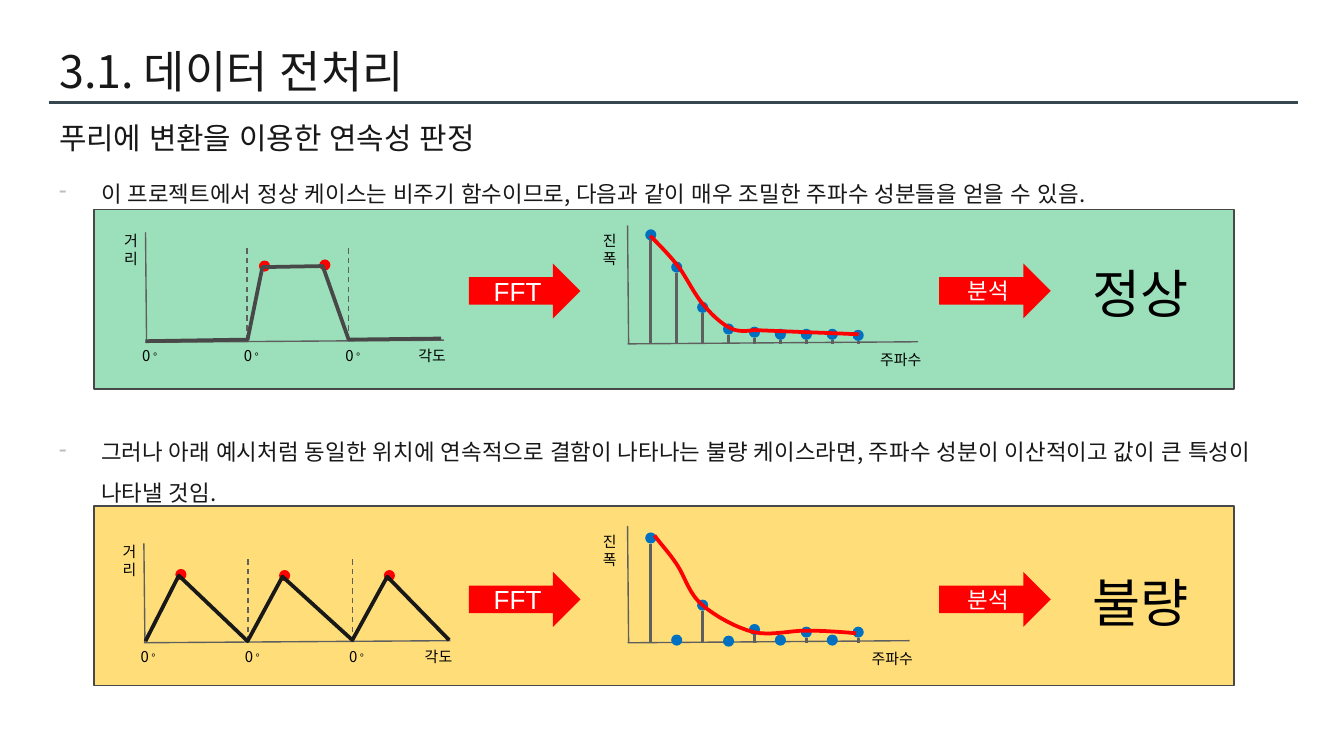
import pptx
import pptx.dml.color
import pptx.enum.dml
import pptx.enum.shapes
import pptx.enum.text
import pptx.oxml
import pptx.oxml.ns
import pptx.util
from lxml import etree

Cm = pptx.util.Cm
Pt = pptx.util.Pt
RGB = pptx.dml.color.RGBColor
SHAPE = pptx.enum.shapes.MSO_SHAPE
ALIGN = pptx.enum.text.PP_ALIGN
qn = pptx.oxml.ns.qn

INK = RGB(0x18, 0x18, 0x18)
BLACK = RGB(0, 0, 0)
WHITE = RGB(255, 255, 255)
RULE = RGB(0x37, 0x47, 0x4F)
EDGE = RGB(0x48, 0x48, 0x48)
GRAY = RGB(0x5F, 0x5F, 0x5F)
RED = RGB(255, 0, 0)
BLUE = RGB(0x00, 0x70, 0xC0)
GREEN = RGB(0x00, 0xB0, 0x50)
AMBER = RGB(0xFF, 0xC0, 0x00)
NOTO = "Noto Sans CJK KR"
DOT = 0.21

GOOD = dict(
    fill=GREEN, alpha=39, mid=1.54, result="정상",
    wave=dict(box=(0.97, 0.43, 5.64, 2.08), step=1.92, color=EDGE, peaks=(2, 3),
              points=[(0, 2.06), (1.93, 2.03), (2.21, 0.66), (3.35, 0.64),
                      (3.84, 2.03), (5.59, 2.01)]),
    bars=dict(box=(10.08, 0.3, 5.49, 2.24),
              tops=(0.18, 0.79, 1.55, 1.96, 2.02, 2.06, 2.06, 2.06, 2.08),
              curve=[(0.43, 0.2), (0.61, 0.38), (0.79, 0.56), (0.97, 0.79),
                     (1.12, 0.99), (1.27, 1.32), (1.45, 1.52), (1.63, 1.73),
                     (1.8, 1.88), (1.98, 1.96), (2.13, 2.03), (2.39, 1.98),
                     (2.39, 1.98), (3.05, 2.01), (3.71, 2.03), (4.37, 2.06)]))
BAD = dict(
    fill=AMBER, alpha=52, mid=1.77, result="불량",
    wave=dict(box=(0.94, 0.71, 5.79, 1.88), step=1.97, color=INK, peaks=(1, 3, 5),
              points=[(0.03, 1.85), (0.66, 0.61), (1.96, 1.85), (2.62, 0.63),
                      (3.94, 1.83), (4.6, 0.63), (5.77, 1.83)]),
    bars=dict(box=(10.08, 0.38, 5.33, 2.21),
              tops=(0.23, 2.16, 1.5, 2.18, 1.96, 2.16, 2.01, 2.16, 2.01),
              curve=[(0.51, 0.18), (0.64, 0.36), (0.79, 0.51), (0.94, 0.74),
                     (1.09, 0.97), (1.17, 1.3), (1.42, 1.5), (1.65, 1.7),
                     (2.06, 1.93), (2.39, 2.01), (2.72, 2.08), (3.05, 1.98),
                     (3.38, 1.98), (3.71, 1.98), (4.09, 2.01), (4.32, 2.03)]))


def style(para, size, color, face=NOTO):
    """Format every run of a paragraph."""
    for run in para.runs:
        run.font.size = Pt(size)
        run.font.color.rgb = color
        run.font.name = face
        etree.SubElement(run.font._element, qn("a:ea")).set("typeface", "Arial")


def write(slide, box, text, size, color=BLACK, align=ALIGN.CENTER):
    """Add a wrapped text box and return its frame."""
    frame = slide.shapes.add_textbox(*map(Cm, box)).text_frame
    frame.word_wrap = True
    frame.text = text
    para = frame.paragraphs[0]
    para.alignment = align
    style(para, size, color)
    return frame


def link(slide, start, end, color=GRAY, width=0.75, dash=False):
    """Draw a straight line."""
    kind = pptx.enum.shapes.MSO_CONNECTOR.STRAIGHT
    line = slide.shapes.add_connector(kind, *map(Cm, (*start, *end)))
    line.line.color.rgb = color
    line.line.width = Pt(width)
    if dash:
        line.line.dash_style = pptx.enum.dml.MSO_LINE.DASH
    etree.SubElement(line._element.spPr, qn("a:effectLst"))


def block(slide, kind, box, fill):
    """Add a filled shape with no outline."""
    shape = slide.shapes.add_shape(kind, *map(Cm, box))
    shape.shadow.inherit = False
    shape.fill.solid()
    shape.fill.fore_color.rgb = fill
    shape.line.fill.background()
    return shape


def dot(slide, x, y, color):
    """Draw a dot around a center."""
    block(slide, SHAPE.OVAL, (x - DOT / 2, y - DOT / 2, DOT, DOT), color)


def trace(slide, left, top, points, color):
    """Draw an open outline through points."""
    spots = [(Cm(left + x), Cm(top + y)) for x, y in points]
    pen = slide.shapes.build_freeform(*spots[0], scale=1.0)
    pen.add_line_segments(spots[1:], close=False)
    shape = pen.convert_to_shape()
    shape.shadow.inherit = False
    shape.fill.background()
    shape.line.color.rgb = color
    shape.line.width = Pt(2)


def bend(knots, count=8):
    """Sample a chain of cubic curves."""
    points = [knots[0]]
    for i in range(0, len(knots) - 1, 3):
        for n in range(1, count + 1):
            t = n / count
            parts = ((1 - t) ** 3, 3 * t * (1 - t) ** 2, 3 * t * t * (1 - t), t ** 3)
            points.append(tuple(sum(p * knot[axis] for p, knot in zip(parts, knots[i:i + 4]))
                                for axis in (0, 1)))
    return points


def axes(slide, box):
    """Draw the two axes of a graph."""
    left, top, width, height = box
    base = top + height
    link(slide, (left, top), (left + 0.02, base))
    link(slide, (left, base), (left + width, base - 0.04))


def wave(slide, box, step, color, peaks, points):
    """Draw the distance graph."""
    left, top, width, height = box
    base = top + height
    axes(slide, box)
    write(slide, (left + width - 0.8, base - 0.04, 1.16, 0.61), "각도", 8)
    write(slide, (left - 0.7, top - 0.13, 0.86, 0.94), "거리", 8)
    for i in range(3):
        x = left + i * step
        if i:
            link(slide, (x, top + 0.3), (x, base - 0.03), dash=True)
        frame = write(slide, (x - 0.36, base - 0.04, 0.88, 0.61), "0", 8)
        run = frame.paragraphs[0].add_run()
        run.text = " °"
        style(frame.paragraphs[0], 8, BLACK)
        run.font.size = Pt(6)
    for i in peaks:
        x, y = points[i]
        dot(slide, left + x + 0.04, top + y - 0.02, RED)
    trace(slide, left, top, points, color)


def bars(slide, box, tops, curve):
    """Draw the spectrum graph."""
    left, top, width, height = box
    base = top + height
    axes(slide, box)
    write(slide, (left + width - 1.05, base, 1.45, 0.61), "주파수", 8)
    write(slide, (left - 0.79, top, 0.91, 0.94), "진폭", 8)
    for i, y in enumerate(tops):
        x = left + 0.44 + i * 0.49
        dot(slide, x, top + y, BLUE)
        if height - y > 0.1:
            link(slide, (x, top + y + DOT / 2), (x, base), width=1.5)
    trace(slide, left, top, bend(curve), RED)


def arrow(slide, box, text, size):
    """Add a labelled block arrow."""
    shape = block(slide, SHAPE.RIGHT_ARROW, box, RED)
    shape.text_frame.text = text
    shape.text_frame.vertical_anchor = pptx.enum.text.MSO_ANCHOR.MIDDLE
    para = shape.text_frame.paragraphs[0]
    para.alignment = ALIGN.CENTER
    style(para, size, WHITE, "Arial")


def panel(slide, box, case):
    """Draw one case from signal to verdict."""
    left, top = box[:2]
    back = block(slide, SHAPE.RECTANGLE, box, case["fill"])
    back.line.color.rgb = EDGE
    back.line.width = Pt(1)
    tint = back._element.spPr.find(qn("a:solidFill"))[0]
    etree.SubElement(tint, qn("a:alpha")).set("val", str(case["alpha"] * 1000))
    mid = top + case["mid"]
    for draw, name in ((wave, "wave"), (bars, "bars")):
        part = dict(case[name])
        x, y, width, height = part.pop("box")
        draw(slide, (left + x, top + y, width, height), **part)
    for x, text, size in ((7.08, "FFT", 14), (15.97, "분석", 12)):
        arrow(slide, (left + x, mid - 0.52, 2.11, 1.04), text, size)
    write(slide, (left + 18.53, mid - 0.68, 2.49, 1.45), case["result"], 28)


def head(slide, box):
    """Place the title and its rule."""
    left, top, width, height = box
    link(slide, (left + 0.05, 1.93), (left + width, 1.93), RULE, 1.5)
    write(slide, (left, top, width, height), "3.1. 데이터 전처리", 24, INK, ALIGN.LEFT)


def body(slide, box):
    """Place the heading and the two bullets."""
    frame = write(slide, box, "푸리에 변환을 이용한 연속성 판정", 16, INK, ALIGN.LEFT)
    frame.paragraphs[0].space_after = Pt(6)
    notes = (
        (0, "이 프로젝트에서 정상 케이스는 비주기 함수이므로, 다음과 같이 매우 조밀한 주파수 성분들을 얻을 수 있음."),
        (111, "그러나 아래 예시처럼 동일한 위치에 연속적으로 결함이 나타나는 불량 케이스라면, "
              "주파수 성분이 이산적이고 값이 큰 특성이 나타낼 것임."))
    for gap, text in notes:
        para = frame.add_paragraph()
        para.text = text
        para.line_spacing = 1.5
        para.space_before = Pt(gap)
        para.space_after = Pt(6)
        props = para._p.get_or_add_pPr()
        props.set("marL", str(Cm(0.79)))
        props.set("indent", str(-Cm(0.79)))
        tint = etree.SubElement(props, qn("a:buClr"))
        etree.SubElement(tint, qn("a:srgbClr")).set("val", "BDBDBD")
        etree.SubElement(props, qn("a:buChar")).set("char", "-")
        style(para, 12, INK)


def main():
    """Build the slide and save it."""
    deck = pptx.Presentation()
    deck.slide_width, deck.slide_height = Cm(25.4), Cm(14.29)
    slide = deck.slides.add_slide(deck.slide_layouts[6])
    head(slide, (0.87, 0.7, 23.67, 1.6))
    body(slide, (0.87, 2.13, 23.67, 11.63))
    for top, case in ((3.96, GOOD), (9.56, BAD)):
        panel(slide, (1.78, top, 21.54, 3.4), case)
    deck.save("out.pptx")


if __name__ == "__main__":
    main()
